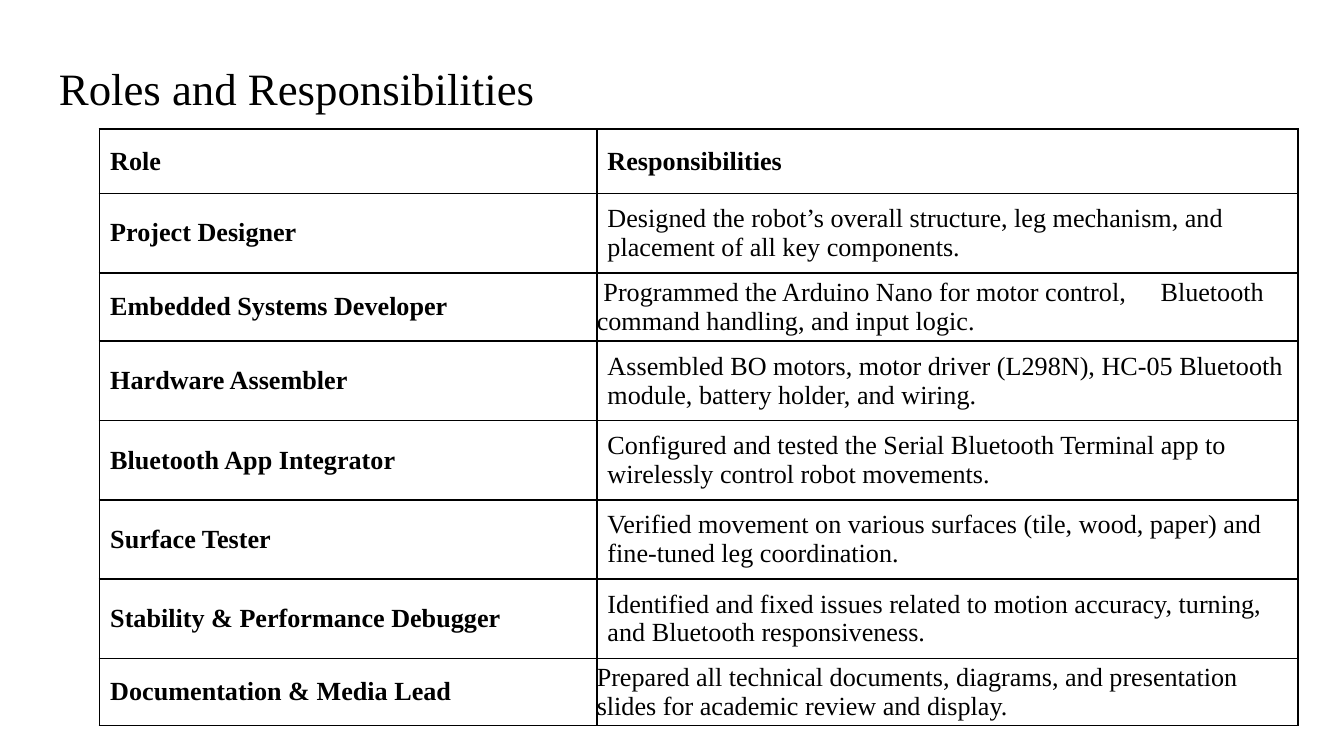
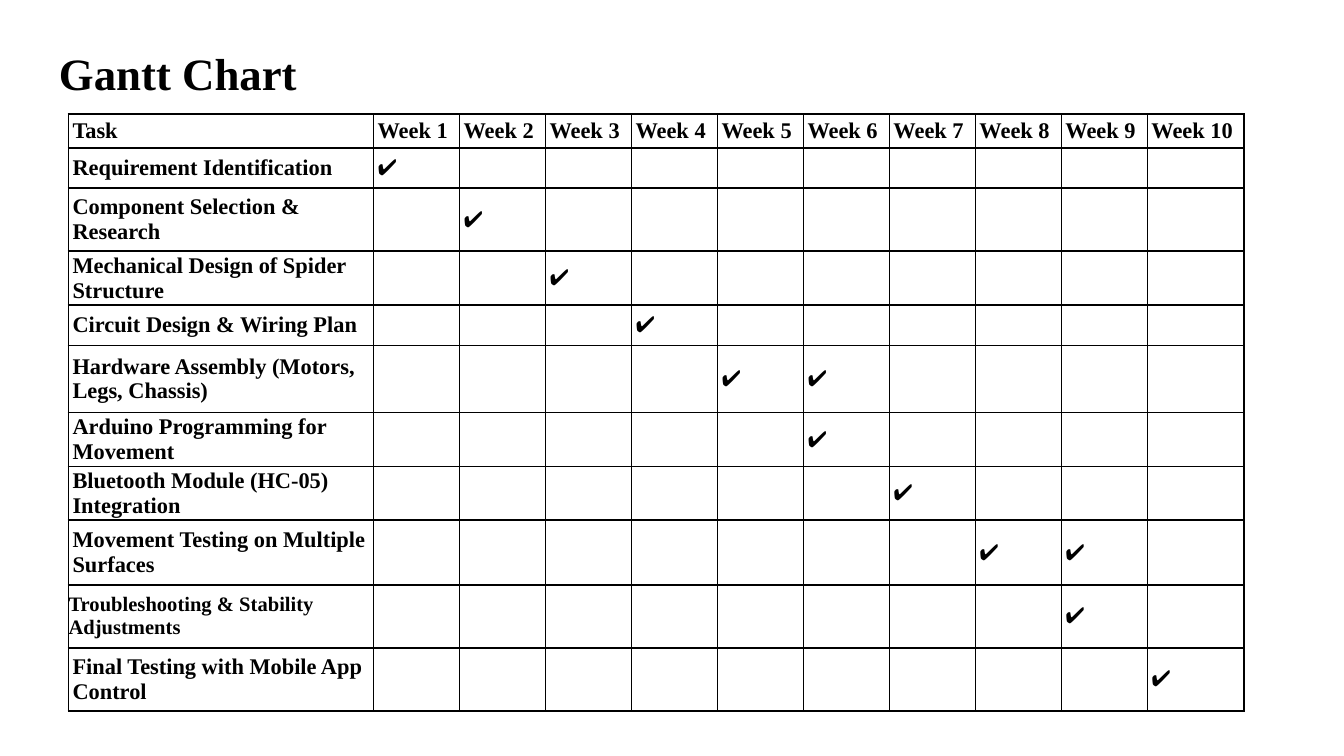
from dataclasses import dataclass
from typing import Any

import lxml.etree
import pptx
import pptx.dml.color
import pptx.enum.text
import pptx.oxml.ns
import pptx.util

Inches = pptx.util.Inches
Pt = pptx.util.Pt
ANCHOR = pptx.enum.text.MSO_ANCHOR

# Shared look
FONT = "Times New Roman"
INK = "000000"
PAPER = "FFFFFF"
TICK = "✔️"


@dataclass(frozen=True)
class Cell:
    text: str = ""
    bold: bool = False
    size: float = 0  # 0 takes the size of the grid
    flush: bool = False  # no inner margins
    indent: float = 0
    gap: float = 0  # points of extra space before the rest
    rest: str = ""


@dataclass(frozen=True)
class Grid:
    left: float
    top: float
    cols: list[float]
    rows: list[float]
    size: float
    pad: tuple[float, float]
    cells: list[list[Cell]]


@dataclass(frozen=True)
class Title:
    text: str
    top: float
    width: float
    height: float
    anchor: Any
    bold: bool = False


def color(code: str) -> pptx.dml.color.RGBColor:
    return pptx.dml.color.RGBColor.from_string(code)


def tag(parent: Any, name: str, **attrs: Any) -> Any:
    """Append a drawing element with the given attributes."""
    child = lxml.etree.SubElement(parent, pptx.oxml.ns.qn(name))
    for key, value in attrs.items():
        child.set(key, str(value))
    return child


def add_run(para: Any, text: str, size: float, bold: bool) -> Any:
    run = para.add_run()
    run.text = text
    run.font.name = FONT
    run.font.size = Pt(size)
    run.font.bold = bold
    run.font.color.rgb = color(INK)
    return run


def add_title(slide: Any, title: Title) -> None:
    box = slide.shapes.add_textbox(
        Inches(0.34), Inches(title.top),
        Inches(title.width), Inches(title.height))
    frame = box.text_frame
    frame.word_wrap = True
    frame.vertical_anchor = title.anchor
    frame.margin_left = frame.margin_right = Inches(0.1)
    frame.margin_top = frame.margin_bottom = Inches(0.1)
    add_run(frame.paragraphs[0], title.text, 24, title.bold)


def add_edges(cell: Any) -> None:
    props = cell._tc.get_or_add_tcPr()
    for side in ("a:lnL", "a:lnR", "a:lnT", "a:lnB"):
        line = tag(props, side, w=Pt(1))
        tag(tag(line, "a:solidFill"), "a:srgbClr", val=INK)


def fill_cell(spot: Any, cell: Cell, grid: Grid) -> None:
    add_edges(spot)
    spot.fill.background()
    spot.vertical_anchor = ANCHOR.MIDDLE
    across, down = (0, 0) if cell.flush else grid.pad
    spot.margin_left = spot.margin_right = Inches(across)
    spot.margin_top = spot.margin_bottom = Inches(down)

    para = spot.text_frame.paragraphs[0]
    size = cell.size or grid.size
    if cell.indent:
        para._p.get_or_add_pPr().set("indent", str(Inches(cell.indent)))
    if cell.text:
        add_run(para, cell.text, size, cell.bold)
    else:
        # Keeps empty cells from stretching their row
        tag(para._p, "a:endParaRPr", sz=Pt(size).centipoints)
    if cell.rest:
        # One space, widened by letter spacing
        space = add_run(para, " ", size, cell.bold)
        space._r.get_or_add_rPr().set("spc", str(Pt(cell.gap).centipoints))
        add_run(para, cell.rest, size, cell.bold)


def add_grid(slide: Any, grid: Grid) -> None:
    frame = slide.shapes.add_table(
        len(grid.rows), len(grid.cols), Inches(grid.left), Inches(grid.top),
        Inches(sum(grid.cols)), Inches(sum(grid.rows)))
    table = frame.table
    table.first_row = table.horz_banding = False
    for col, width in zip(table.columns, grid.cols):
        col.width = Inches(width)
    for row, height in zip(table.rows, grid.rows):
        row.height = Inches(height)
    for r, line in enumerate(grid.cells):
        for c, cell in enumerate(line):
            fill_cell(table.cell(r, c), cell, grid)


def add_page(deck: Any, title: Title, grid: Grid) -> None:
    slide = deck.slides.add_slide(deck.slide_layouts[6])
    slide.background.fill.solid()
    slide.background.fill.fore_color.rgb = color(PAPER)
    add_title(slide, title)
    add_grid(slide, grid)


# Roles and what each one did
ROLES = [
    ("Project Designer", Cell(
        "Designed the robot’s overall structure, leg mechanism, and "
        "placement of all key components.")),
    ("Embedded Systems Developer", Cell(
        "Programmed the Arduino Nano for motor control,",
        flush=True, indent=0.05, gap=14.6,
        rest="Bluetooth command handling, and input logic.")),
    ("Hardware Assembler", Cell(
        "Assembled BO motors, motor driver (L298N), HC-05 Bluetooth "
        "module, battery holder, and wiring.")),
    ("Bluetooth App Integrator", Cell(
        "Configured and tested the Serial Bluetooth Terminal app to "
        "wirelessly control robot movements.")),
    ("Surface Tester", Cell(
        "Verified movement on various surfaces (tile, wood, paper) and "
        "fine-tuned leg coordination.")),
    ("Stability & Performance Debugger", Cell(
        "Identified and fixed issues related to motion accuracy, turning, "
        "and Bluetooth responsiveness.")),
    ("Documentation & Media Lead", Cell(
        "Prepared all technical documents, diagrams, and presentation "
        "slides for academic review and display.", flush=True)),
]

# Tasks with the weeks they run in
WEEKS = range(1, 11)
TASKS = [
    (Cell("Requirement Identification", True), {1}),
    (Cell("Component Selection & Research", True), {2}),
    (Cell("Mechanical Design of Spider Structure", True), {3}),
    (Cell("Circuit Design & Wiring Plan", True), {4}),
    (Cell("Hardware Assembly (Motors, Legs, Chassis)", True), {5, 6}),
    (Cell("Arduino Programming for Movement", True), {6}),
    (Cell("Bluetooth Module (HC-05) Integration", True), {7}),
    (Cell("Movement Testing on Multiple Surfaces", True), {8, 9}),
    (Cell("Troubleshooting & Stability Adjustments", True, 11, True), {9}),
    (Cell("Final Testing with Mobile App Control", True), {10}),
]


def role_grid() -> Grid:
    head = [Cell("Role", True), Cell("Responsibilities", True)]
    body = [[Cell(role, True), duty] for role, duty in ROLES]
    return Grid(0.74, 0.96, [3.7, 5.22],
                [0.48, 0.59, 0.51, 0.59, 0.59, 0.59, 0.59, 0.5],
                14, (0.08, 0.04), [head, *body])


def gantt_grid() -> Grid:
    head = [Cell("Task", True), *(Cell(f"Week {w}", True) for w in WEEKS)]
    body = [[task, *(Cell(TICK if w in weeks else "") for w in WEEKS)]
            for task, weeks in TASKS]
    return Grid(0.51, 0.85, [2.27, *[0.64] * 9, 0.72],
                [0.25, 0.3, 0.47, 0.36, 0.3, 0.5, 0.3, 0.36, 0.48, 0.47, 0.47],
                12, (0.03, 0), [head, *body])


def main() -> None:
    deck = pptx.Presentation()
    deck.slide_width = Inches(10)
    deck.slide_height = Inches(10) * 9 // 16
    roles = Title("Roles and Responsibilities", 0.34, 9.32, 0.63, ANCHOR.MIDDLE)
    gantt = Title("Gantt Chart", 0.24, 3.42, 0.62, ANCHOR.TOP, True)
    add_page(deck, roles, role_grid())
    add_page(deck, gantt, gantt_grid())
    deck.save("out.pptx")


if __name__ == "__main__":
    main()
